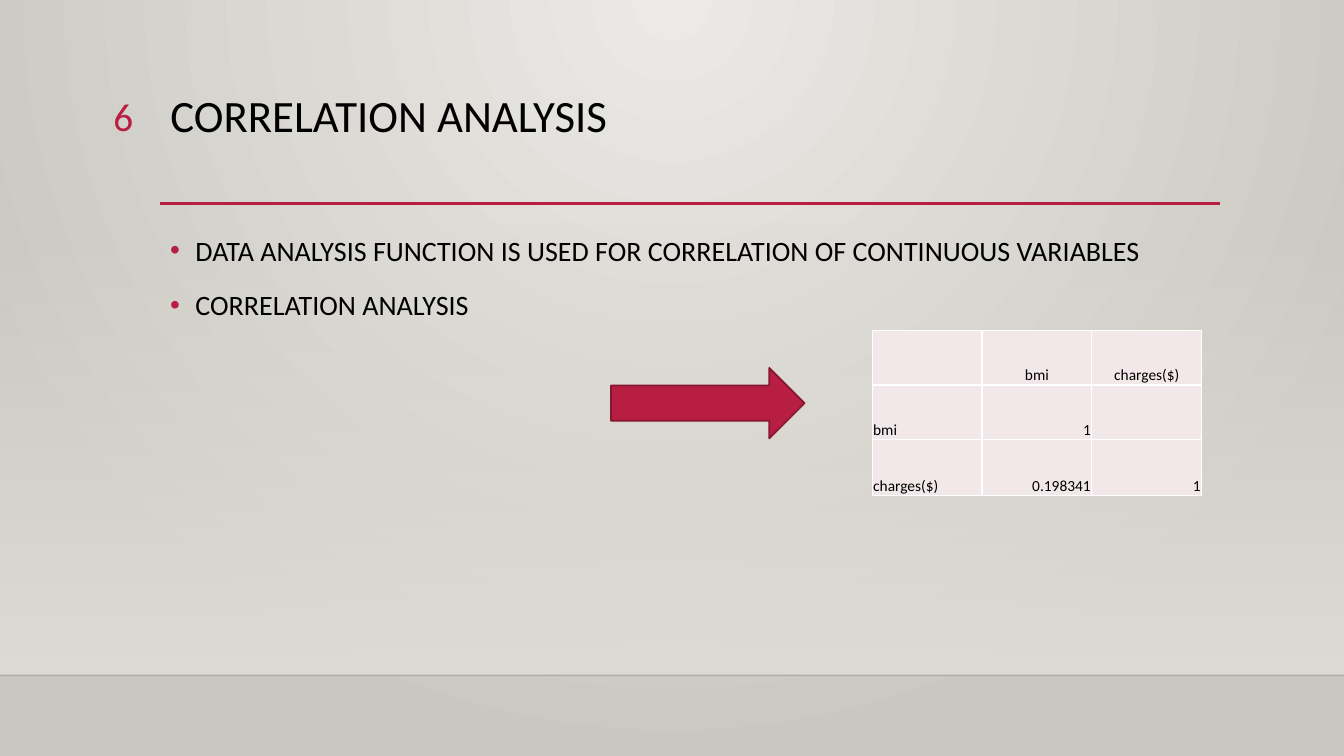
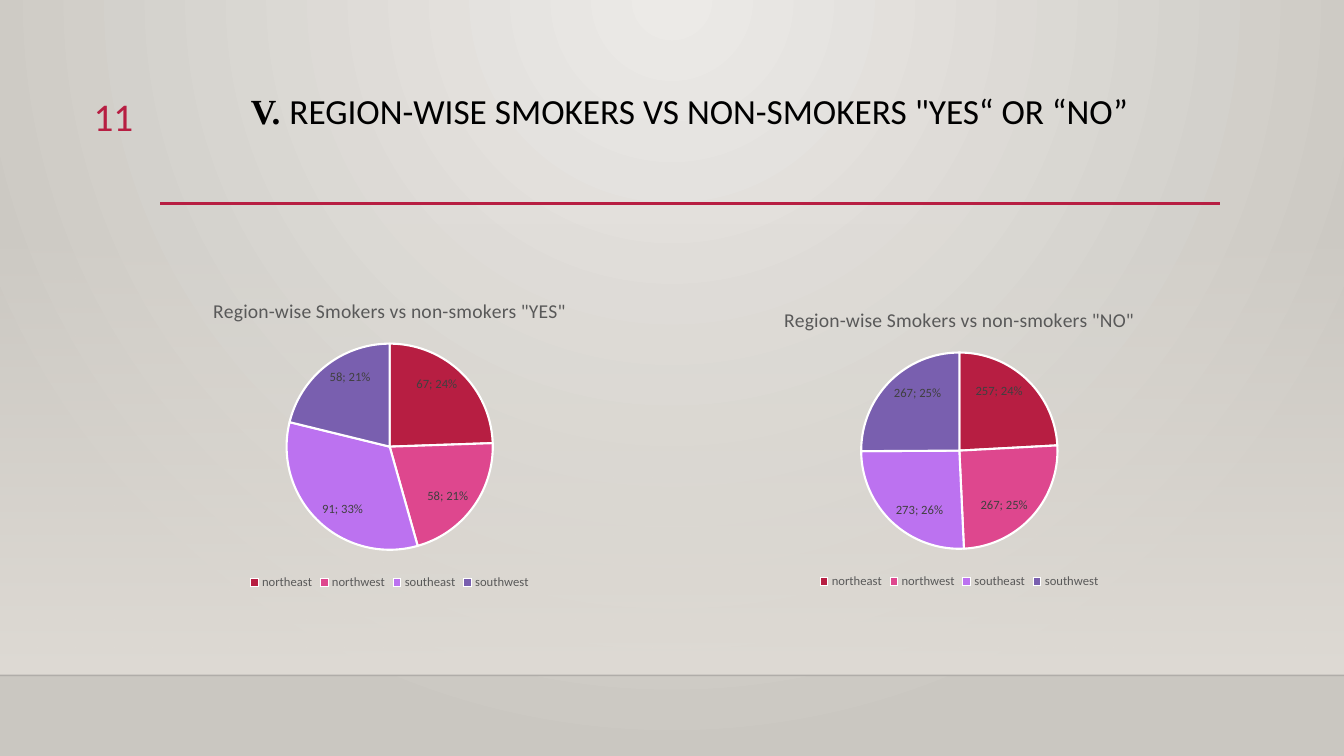
from dataclasses import dataclass

from pptx import Presentation
from pptx.chart.data import CategoryChartData
from pptx.dml.color import RGBColor
from pptx.enum.chart import XL_CHART_TYPE as ChartType
from pptx.enum.chart import XL_LABEL_POSITION as LabelPosition
from pptx.enum.chart import XL_LEGEND_POSITION as LegendPosition
from pptx.enum.shapes import MSO_CONNECTOR as Connector
from pptx.enum.shapes import MSO_SHAPE as Shape
from pptx.enum.text import MSO_ANCHOR as Anchor
from pptx.enum.text import MSO_AUTO_SIZE as AutoSize
from pptx.enum.text import PP_ALIGN as Align
from pptx.oxml.ns import qn
from pptx.util import Inches, Pt
from lxml.etree import SubElement


@dataclass(frozen=True)
class Theme:
    font: str = "Calibri"
    numeral_font: str = "Times New Roman"
    text: str = "000000"
    accent: str = "B71E42"
    accent_dark: str = "871631"
    glow: str = "ECEAE7"
    edge: str = "CAC7C1"
    wall: str = "DFDBD5"
    floor_line: str = "000001"
    cell: str = "F3E8E9"
    white: str = "FFFFFF"
    chart_text: str = "595959"
    label_text: str = "404040"
    slices: tuple = ("B71E42", "DE478E", "BC72F0", "795FAF")
    title_size: float = 32
    small_title_size: float = 25.2
    number_size: float = 28
    body_size: float = 20
    chart_title_size: float = 14
    table_size: float = 11
    chart_size: float = 9


def rgb(value):
    return RGBColor.from_string(value)


def set_alpha(color_element, percent):
    SubElement(color_element, qn("a:alpha"), val=str(percent * 1000))


class Deck:
    """Hold the theme, the presentation and the slide being built."""

    def __init__(self, theme):
        self.theme = theme
        self.presentation = Presentation()
        self.presentation.slide_width = Inches(13.33)
        self.presentation.slide_height = Inches(7.5)
        self.slide = None
        self.paint_background()

    def gradient(self, fill, start, end):
        fill.gradient()
        for stop, color in zip(fill.gradient_stops, (start, end)):
            stop.color.rgb = rgb(color)

    def paint_background(self):
        master = self.presentation.slide_master
        self.gradient(master.background.fill, self.theme.glow, self.theme.edge)
        gradient = next(master.element.iter(qn("p:bgPr"))).find(qn("a:gradFill"))
        gradient.remove(gradient.find(qn("a:lin")))
        circle = SubElement(gradient, qn("a:path"), path="circle")
        SubElement(circle, qn("a:fillToRect"), l="43000", t="0", r="43000", b="100000")

    def style(self, font, size, color, name=None, bold=False):
        font.name = name or self.theme.font
        font.size = Pt(size)
        font.bold = bold
        font.color.rgb = rgb(color)

    def new_slide(self, number):
        self.slide = self.presentation.slides.add_slide(self.presentation.slide_layouts[5])
        self.wall()
        floor = self.rule(0, 6.7, 13.33, self.theme.floor_line, 1)
        set_alpha(next(floor.element.iter(qn("a:srgbClr"))), 20)
        self.rule(1.59, 2.02, 10.51, self.theme.accent, 2.5)
        paragraph = self.text_frame(0.53, 0.87, 0.89, 0.55).paragraphs[0]
        paragraph.text = number
        paragraph.alignment = Align.RIGHT
        self.style(paragraph.font, self.theme.number_size, self.theme.accent)

    def wall(self):
        wall = self.shape(Shape.RECTANGLE, 0, 2.21, 13.33, 4.49)
        self.gradient(wall.fill, self.theme.wall, self.theme.wall)
        wall.fill.gradient_angle = 270
        set_alpha(next(wall.element.iter(qn("a:srgbClr"))), 0)
        wall.line.fill.background()

    def shape(self, kind, left, top, width, height):
        shape = self.slide.shapes.add_shape(
            kind, Inches(left), Inches(top), Inches(width), Inches(height))
        shape.shadow.inherit = False
        return shape

    def rule(self, left, top, length, color, weight):
        rule = self.slide.shapes.add_connector(
            Connector.STRAIGHT, Inches(left), Inches(top), Inches(left + length), Inches(top))
        rule.line.color.rgb = rgb(color)
        rule.line.width = Pt(weight)
        SubElement(rule.element.spPr, qn("a:effectLst"))
        return rule

    def text_frame(self, left, top, width, height):
        frame = self.slide.shapes.add_textbox(
            Inches(left), Inches(top), Inches(width), Inches(height)).text_frame
        frame.word_wrap = True
        return frame

    def title(self, text, size, numeral="", alignment=Align.LEFT):
        title = self.slide.shapes.title
        title.left, title.top = Inches(1.59), Inches(0.88)
        title.width, title.height = Inches(10.5), Inches(1.15)
        frame = title.text_frame
        frame.auto_size = AutoSize.NONE
        frame.vertical_anchor = Anchor.TOP
        paragraph = frame.paragraphs[0]
        paragraph.alignment = alignment
        paragraph.line_spacing = 0.9
        if numeral:
            run = paragraph.add_run()
            run.text = numeral
            self.style(run.font, size, self.theme.text, self.theme.numeral_font, True)
        run = paragraph.add_run()
        run.text = text
        self.style(run.font, size, self.theme.text)

    def bullets(self, lines, left, top, width, height):
        frame = self.text_frame(left, top, width, height)
        for index, line in enumerate(lines):
            paragraph = frame.add_paragraph() if index else frame.paragraphs[0]
            paragraph.text = line
            properties = paragraph._p.get_or_add_pPr()
            properties.set("marL", str(Inches(0.25)))
            properties.set("indent", str(-Inches(0.25)))
            color = SubElement(properties, qn("a:buClr"))
            SubElement(color, qn("a:srgbClr"), val=self.theme.accent)
            SubElement(properties, qn("a:buFont"), typeface="Arial")
            SubElement(properties, qn("a:buChar"), char="•")
            paragraph.line_spacing = 1.2
            paragraph.space_before = Pt(10)
            self.style(paragraph.font, self.theme.body_size, self.theme.text)

    def arrow(self, left, top, width, height):
        arrow = self.shape(Shape.RIGHT_ARROW, left, top, width, height)
        arrow.fill.solid()
        arrow.fill.fore_color.rgb = rgb(self.theme.accent)
        arrow.line.color.rgb = rgb(self.theme.accent_dark)
        arrow.line.width = Pt(1.25)

    def table(self, rows, left, top, column_width, row_heights):
        table = self.slide.shapes.add_table(
            len(rows), len(rows[0]), Inches(left), Inches(top),
            Inches(column_width * len(rows[0])), Inches(sum(row_heights))).table
        for column in table.columns:
            column.width = Inches(column_width)
        for row_index, (row, height) in enumerate(zip(rows, row_heights)):
            table.rows[row_index].height = Inches(height)
            for column_index, text in enumerate(row):
                if row_index == 0:
                    alignment = Align.CENTER
                else:
                    alignment = Align.RIGHT if column_index else Align.LEFT
                self.cell(table.cell(row_index, column_index), text, alignment)

    def cell(self, cell, text, alignment):
        cell.fill.solid()
        cell.fill.fore_color.rgb = rgb(self.theme.cell)
        cell.vertical_anchor = Anchor.BOTTOM
        cell.margin_left = cell.margin_right = cell.margin_top = Inches(0.01)
        cell.margin_bottom = 0
        properties = cell._tc.get_or_add_tcPr()
        for index, side in enumerate(("a:lnL", "a:lnR", "a:lnT", "a:lnB")):
            border = SubElement(properties, qn(side), w=str(Pt(1)))
            fill = SubElement(border, qn("a:solidFill"))
            SubElement(fill, qn("a:srgbClr"), val=self.theme.white)
            properties.insert(index, border)
        paragraph = cell.text_frame.paragraphs[0]
        paragraph.text = text
        paragraph.alignment = alignment
        self.style(paragraph.font, self.theme.table_size, self.theme.text)

    def pie(self, title, categories, values, left, top, width, height):
        data = CategoryChartData()
        data.categories = categories
        data.add_series("Series 1", values)
        chart = self.slide.shapes.add_chart(
            ChartType.PIE, Inches(left), Inches(top), Inches(width), Inches(height), data).chart
        self.style(chart.font, 10, self.theme.text)
        chart.has_title = True
        paragraph = chart.chart_title.text_frame.paragraphs[0]
        paragraph.text = title
        self.style(paragraph.font, self.theme.chart_title_size, self.theme.chart_text)
        chart.has_legend = True
        chart.legend.position = LegendPosition.BOTTOM
        chart.legend.include_in_layout = False
        self.style(chart.legend.font, self.theme.chart_size, self.theme.chart_text)
        plot = chart.plots[0]
        plot.vary_by_categories = True
        plot.has_data_labels = True
        labels = plot.data_labels
        labels.show_value = labels.show_percentage = True
        labels.position = LabelPosition.INSIDE_END
        self.style(labels.font, self.theme.chart_size, self.theme.label_text)
        for index, color in enumerate(self.theme.slices):
            slice_format = plot.series[0].points[index].format
            slice_format.fill.solid()
            slice_format.fill.fore_color.rgb = rgb(color)
            slice_format.line.color.rgb = rgb(self.theme.white)
            slice_format.line.width = Pt(1.5)


def main():
    theme = Theme()
    deck = Deck(theme)

    deck.new_slide("6")
    deck.title("CORRELATION ANALYSIS", theme.title_size)
    deck.bullets(
        ("DATA ANALYSIS FUNCTION IS USED FOR CORRELATION OF CONTINUOUS VARIABLES",
         "CORRELATION ANALYSIS"), 1.59, 2.2, 10.5, 3.77)
    deck.table(
        (("", "bmi", "charges($)"), ("bmi", "1", ""), ("charges($)", "0.198341", "1")),
        8.65, 3.28, 1.09, (0.54, 0.54, 0.56))
    deck.arrow(6.06, 3.65, 1.92, 0.7)

    deck.new_slide("11")
    deck.title("REGION-WISE SMOKERS VS NON-SMOKERS \"YES“ OR “NO”",
               theme.small_title_size, "V. ", Align.CENTER)
    regions = ("northeast", "northwest", "southeast", "southwest")
    deck.pie("Region-wise Smokers vs non-smokers \"YES\"", regions,
             (67, 58, 91, 58), 1.52, 2.8, 4.69, 3.09)
    deck.pie("Region-wise Smokers vs non-smokers \"NO\"", regions,
             (257, 267, 273, 267), 7.12, 2.89, 4.79, 2.99)

    deck.presentation.save("out.pptx")


if __name__ == "__main__":
    main()
